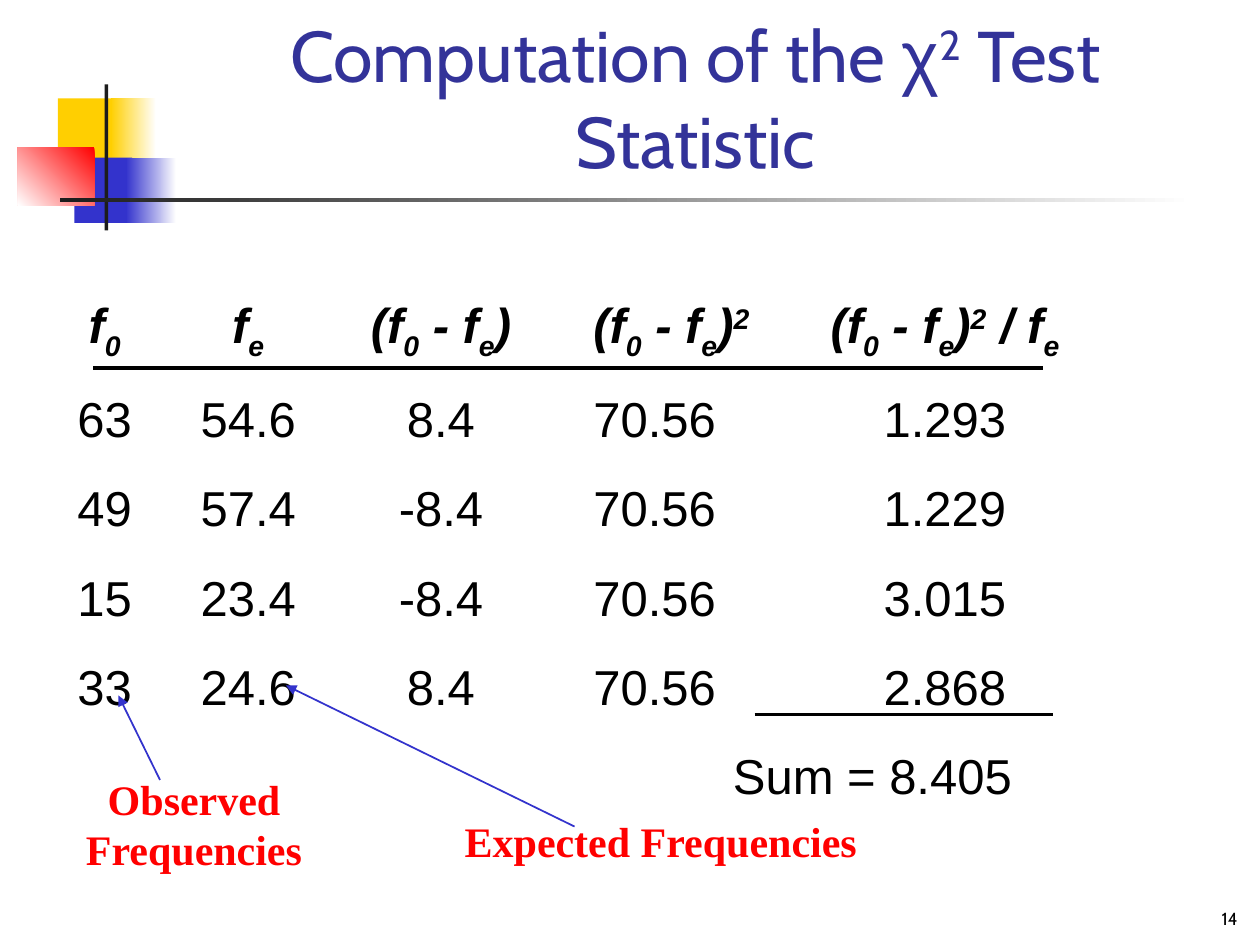
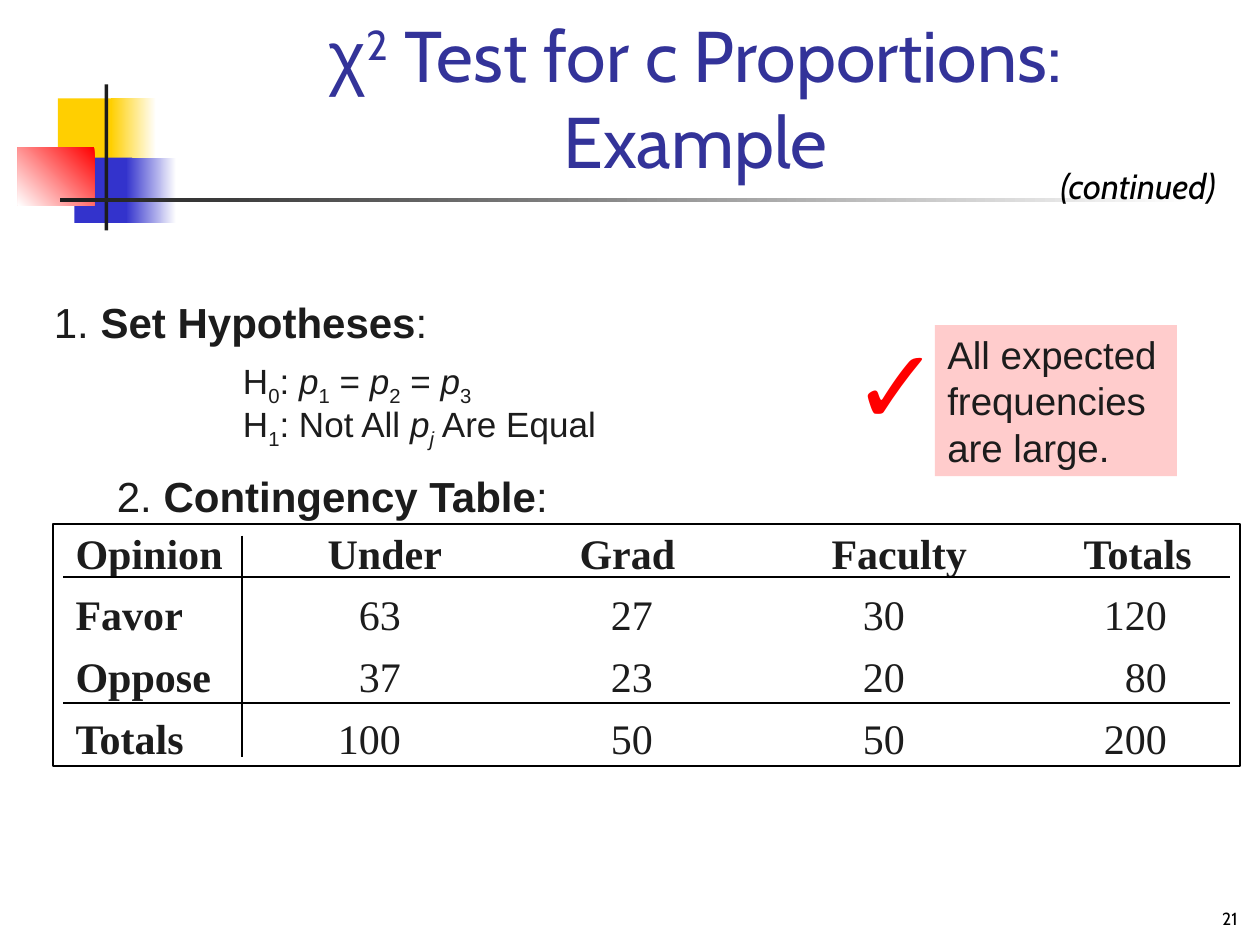
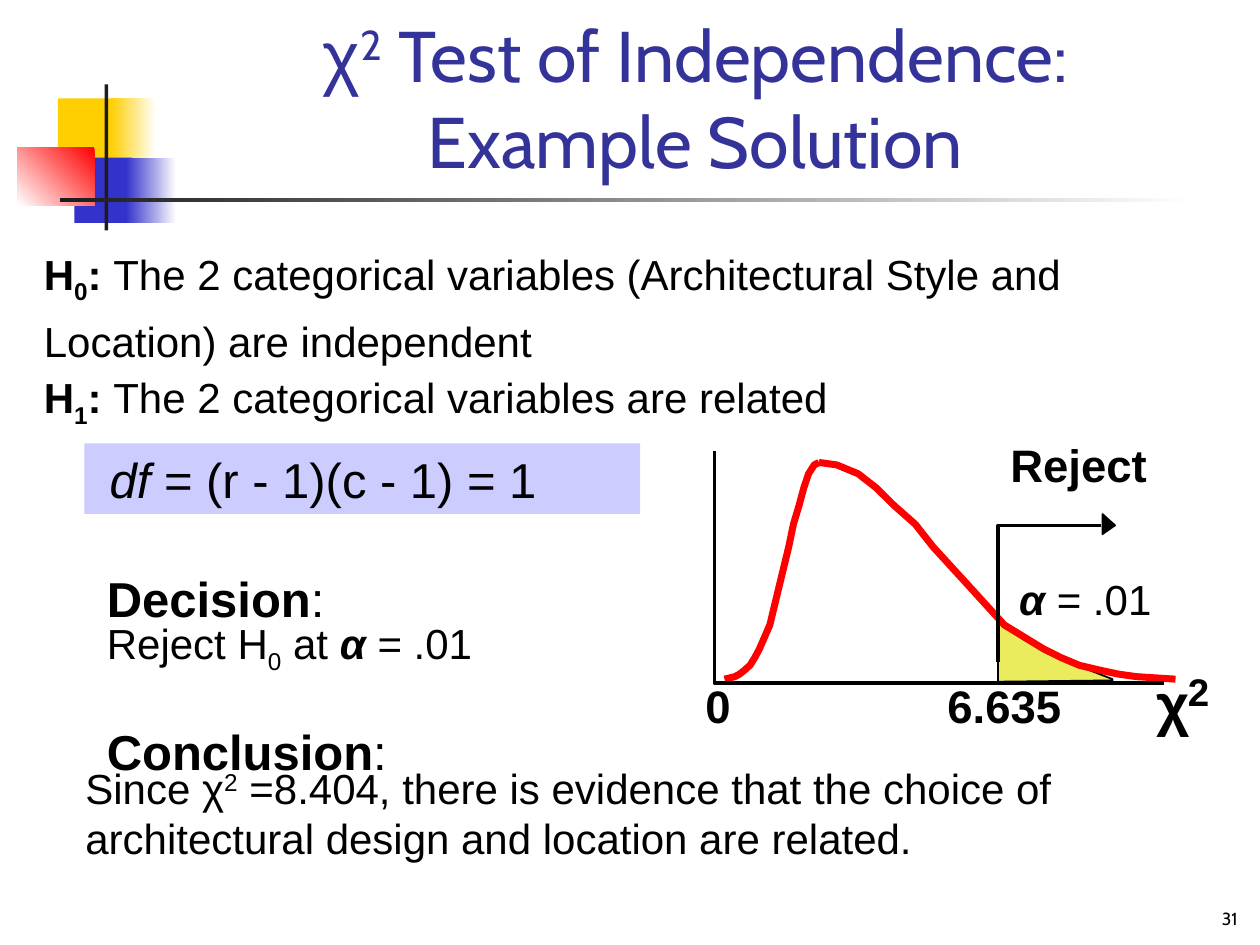
from dataclasses import dataclass

from lxml import etree
from pptx import Presentation
from pptx import util as u
from pptx.dml.color import RGBColor
from pptx.enum import shapes, text
from pptx.oxml import ns

BLACK = RGBColor(0x00, 0x00, 0x00)
CHARCOAL = RGBColor(0x1C, 0x1C, 0x1C)
WHITE = RGBColor(0xFF, 0xFF, 0xFF)
RED = RGBColor(0xFF, 0x00, 0x00)
YELLOW = RGBColor(0xFF, 0xCF, 0x01)
BLUE = RGBColor(0x33, 0x33, 0xCC)
TITLE_BLUE = RGBColor(0x33, 0x33, 0x99)
PINK = RGBColor(0xFF, 0xCC, 0xCC)
LAVENDER = RGBColor(0xCC, 0xCC, 0xFF)
TAIL_YELLOW = RGBColor(0xEA, 0xEC, 0x5E)

LEFT, CENTER, RIGHT = text.PP_ALIGN.LEFT, text.PP_ALIGN.CENTER, text.PP_ALIGN.RIGHT
TOP, MIDDLE, BOTTOM = text.MSO_ANCHOR.TOP, text.MSO_ANCHOR.MIDDLE, text.MSO_ANCHOR.BOTTOM


@dataclass
class Style:
    size: float
    color: RGBColor = BLACK
    font: str = "Arial"


@dataclass
class Line:
    runs: list
    spacing: float = 1.0
    before: float = 0
    indent: float = 0
    size: float = 0


TITLE = Style(41, TITLE_BLUE, "Cabin")
FOOTER = Style(10, BLACK, "Cabin")
CONTINUED = Style(20, BLACK, "Cabin")
BODY = Style(24)
LARGE = Style(28)
AXIS = Style(26)
CALLOUT = Style(24, RED, "Times New Roman")
COUNTS = Style(24, CHARCOAL, "Times New Roman")
HYPOTHESES = Style(24, CHARCOAL)

CURVE = [(0, 5.39), (0.11, 5.37), (0.16, 5.35), (0.21, 5.32), (0.27, 5.28), (0.32, 5.22),
         (0.37, 5.15), (0.48, 4.96), (0.57, 4.68), (0.68, 4.34), (0.73, 4.16), (0.79, 4.01),
         (0.84, 3.87), (0.89, 3.76), (0.95, 3.69), (1, 3.67)]
TAIL = [(8.83, 5.39), (8.52, 5.27), (8.44, 5.24), (8.37, 5.2), (8.31, 5.16), (8.13, 5.08),
        (8.03, 5.01), (7.92, 4.92), (7.92, 5.41), (8.83, 5.4)]


def inches(*values):
    return [u.Inches(value) for value in values]


def write_run(paragraph, content, marks, style, size):
    run = paragraph.add_run()
    run.text = content
    font = run.font
    font.size = u.Pt(size or style.size)
    font.name = "Arial" if "a" in marks else style.font
    font.color.rgb = style.color
    font.bold = "b" in marks
    font.italic = "i" in marks
    for mark, baseline in (("_", "-25000"), ("^", "30000")):
        if mark in marks:
            run._r.get_or_add_rPr().set("baseline", baseline)


def write_lines(frame, lines, style, align=LEFT):
    for index, line in enumerate(lines):
        if isinstance(line, list):
            line = Line(line)
        paragraph = frame.add_paragraph() if index else frame.paragraphs[0]
        paragraph.alignment = align
        paragraph.line_spacing = line.spacing
        if line.before:
            paragraph.space_before = u.Pt(line.before)
        if line.indent:
            paragraph._p.get_or_add_pPr().set("marL", str(u.Inches(line.indent)))
        for part, (content, marks) in enumerate(line.runs):
            pieces = content.split("\n")
            for number, piece in enumerate(pieces):
                if number:
                    paragraph.add_line_break()
                write_run(paragraph, piece, marks, style, line.size)


def add_text(slide, box, lines, style, align=LEFT, anchor=TOP, fill=None, left_inset=0.1):
    shape = slide.shapes.add_textbox(*inches(*box))
    if fill is not None:
        shape.fill.solid()
        shape.fill.fore_color.rgb = fill
    frame = shape.text_frame
    frame.word_wrap = True
    frame.vertical_anchor = anchor
    frame.margin_left = u.Inches(left_inset)
    write_lines(frame, lines, style, align)


def add_block(slide, box, start, end=None, angle=180):
    shape = slide.shapes.add_shape(shapes.MSO_SHAPE.RECTANGLE, *inches(*box))
    shape.shadow.inherit = False
    shape.line.fill.background()
    if end is None:
        shape.fill.solid()
        shape.fill.fore_color.rgb = start
        return
    shape.fill.gradient()
    shape.fill.gradient_angle = angle
    for stop, color in zip(shape.fill.gradient_stops, (start, end)):
        stop.color.rgb = color


def add_frame(slide, box):
    shape = slide.shapes.add_shape(shapes.MSO_SHAPE.RECTANGLE, *inches(*box))
    shape.shadow.inherit = False
    shape.fill.background()
    shape.line.color.rgb = BLACK
    shape.line.width = u.Pt(1)


def add_line(slide, start, end, color=BLACK, width=1, arrow=False):
    connector = slide.shapes.add_connector(
        shapes.MSO_CONNECTOR.STRAIGHT, *inches(*start, *end))
    connector.line.color.rgb = color
    connector.line.width = u.Pt(width)
    if arrow:
        outline = connector.line._get_or_add_ln()
        etree.SubElement(outline, ns.qn("a:tailEnd"), type="triangle")
    etree.SubElement(connector._element.spPr, ns.qn("a:effectLst"))


def add_outline(slide, points, color, width, fill=None):
    closed = fill is not None
    builder = slide.shapes.build_freeform(*inches(*points[0]))
    builder.add_line_segments([inches(*point) for point in points[1:]], close=closed)
    shape = builder.convert_to_shape()
    shape.shadow.inherit = False
    shape.line.color.rgb = color
    shape.line.width = u.Pt(width)
    if closed:
        shape.fill.solid()
        shape.fill.fore_color.rgb = fill
    else:
        shape.fill.background()


def add_grid(slide, left, top, widths, row_height, row_count):
    graphic = slide.shapes.add_table(
        row_count, len(widths), *inches(left, top, sum(widths), row_height * row_count))
    table = graphic.table
    table.first_row = table.horz_banding = False
    for column, width in zip(table.columns, widths):
        column.width = u.Inches(width)
    for row in table.rows:
        row.height = u.Inches(row_height)
        for cell in row.cells:
            cell.fill.background()
            cell.margin_left = cell.margin_right = 0
            cell.margin_top = cell.margin_bottom = 0
            cell.vertical_anchor = MIDDLE
    return table


def fill_cell(cell, runs, style, align, left=0, right=0):
    cell.margin_left, cell.margin_right = inches(left, right)
    write_lines(cell.text_frame, [runs], style, align)


def add_base(presentation, title, number):
    slide = presentation.slides.add_slide(presentation.slide_layouts[6])
    add_block(slide, (0.46, 0.78, 0.48, 0.52), YELLOW)
    add_block(slide, (0.88, 0.78, 0.36, 0.52), WHITE, YELLOW)
    add_block(slide, (0.59, 1.25, 0.46, 0.52), BLUE)
    add_block(slide, (1, 1.25, 0.4, 0.52), WHITE, BLUE)
    add_block(slide, (0.14, 1.17, 0.61, 0.46), RED, WHITE, 225)
    add_block(slide, (0.83, 0.67, 0.03, 1.16), CHARCOAL)
    add_block(slide, (0.48, 1.57, 9, 0.03), WHITE, CHARCOAL)
    add_text(slide, (1.26, 0.25, 8.52, 1.25), [title], TITLE, CENTER, BOTTOM)
    add_text(slide, (7.84, 6.91, 2.08, 0.51), [[(str(number), "")]], FOOTER, RIGHT, BOTTOM)
    return slide


def add_computation_slide(presentation):
    slide = add_base(presentation, [("Computation of the ", ""), ("χ", "a"), ("2", "^"),
                                    (" Test Statistic", "")], 14)
    observed = [("f", "bi"), ("0", "bi_")]
    expected = [("f", "bi"), ("e", "bi_")]
    difference = [("(f", "bi"), ("0", "bi_"), (" - f", "bi"), ("e", "bi_"), (")", "bi")]
    squared = difference + [("2", "bi^")]
    ratio = squared + [(" / f", "bi"), ("e", "bi_")]
    values = [("63", "54.6", "8.4", "70.56", "1.293"),
              ("49", "57.4", "-8.4", "70.56", "1.229"),
              ("15", "23.4", "-8.4", "70.56", "3.015"),
              ("33", "24.6", "8.4", "70.56", "2.868")]
    rows = [(observed, expected, difference, squared, ratio)]
    rows += [[[(value, "")] for value in row] for row in values]
    table = add_grid(slide, 0.4, 2.27, [0.86, 1.42, 1.64, 1.98, 2.4], 0.71, len(rows) + 1)
    for row_index, row in enumerate(rows):
        for column, runs in enumerate(row):
            align, left = (LEFT, 0.39) if column == 3 else (CENTER, 0)
            fill_cell(table.cell(row_index, column), runs, LARGE, align, left)
    total = table.cell(len(rows), 3)
    total.merge(table.cell(len(rows), 4))
    fill_cell(total, [("Sum = 8.405", "")], LARGE, RIGHT, right=0.67)

    add_line(slide, (0.74, 2.92), (8.28, 2.92), width=2)
    add_line(slide, (5.99, 5.67), (8.36, 5.67), width=2)
    add_line(slide, (1.27, 6.19), (0.94, 5.52), BLUE, arrow=True)
    add_text(slide, (0.25, 6.09, 2.58, 0.9), [[("Observed Frequencies", "b")]], CALLOUT, CENTER)
    add_line(slide, (4.56, 6.56), (2.27, 5.44), BLUE, arrow=True)
    add_text(slide, (3.59, 6.42, 4, 0.5), [[("Expected Frequencies", "b")]], CALLOUT)


def add_proportions_slide(presentation):
    slide = add_base(presentation, [("χ", "a"), ("2", "^"),
                                    (" Test for c Proportions:\nExample", "")], 21)
    add_text(slide, (8.32, 1.26, 1.59, 0.44), [[("(continued)", "i")]], CONTINUED)
    null = [("H", ""), ("0", "_"), (": ", ""), ("p", "i"), ("1", "_"), (" = ", ""),
            ("p", "i"), ("2", "_"), (" = ", ""), ("p", "i"), ("3", "_")]
    alternative = [("H", ""), ("1", "_"), (": Not All ", ""), ("p", "i"), ("j", "i_"),
                   (" Are Equal", "")]
    add_text(slide, (0.33, 2.35, 6.3, 1.8), [
        Line([("1. ", ""), ("Set Hypotheses", "b"), (":", "")], 0.9),
        Line(null, 0.9, 7, 1.5, 20),
        Line(alternative, 1, 0, 1.5, 20),
        Line([("2. ", ""), ("Contingency Table", "b"), (":", "")], 1.3, 3, 0.5),
    ], HYPOTHESES)

    rows = [("Opinion", "Under", "Grad", "Faculty", "Totals"),
            ("Favor", "63", "27", "30", "120"),
            ("Oppose", "37", "23", "20", "80"),
            ("Totals", "100", "50", "50", "200")]
    table = add_grid(slide, 0.5, 4.16, [2, 2, 2, 2, 1.33], 0.49, len(rows))
    for row_index, row in enumerate(rows):
        for column, value in enumerate(row):
            cell = table.cell(row_index, column)
            if row_index == 0 or column == 0:
                fill_cell(cell, [(value, "b")], COUNTS, LEFT, left=0.1)
            else:
                fill_cell(cell, [(value, "")], COUNTS, RIGHT, right=0.57 if column == 4 else 1.32)
    add_frame(slide, (0.42, 4.16, 9.42, 1.92))
    for height in (4.58, 5.58):
        add_line(slide, (0.5, height), (9.76, height))
    add_line(slide, (1.92, 4.25), (1.92, 6.01))

    add_text(slide, (7.42, 2.58, 1.92, 1.2), [[("All expected frequencies are large.", "")]],
             Style(22, CHARCOAL), fill=PINK)
    add_text(slide, (6.67, 2.49, 0.93, 1.1), [[("✓", "")]], Style(60, RED))


def add_rejection_curve(slide):
    peak, left_end, right_end = 6.5, 5.75, 9.33
    add_outline(slide, TAIL, BLACK, 1, TAIL_YELLOW)
    for end in (left_end, right_end):
        points = [(end + (peak - end) * share, height) for share, height in CURVE]
        add_outline(slide, points, RED, 4)
    add_outline(slide, [(5.67, 3.58), (5.67, 5.42), (9.24, 5.42)], BLACK, 2)
    add_outline(slide, [(7.92, 5.25), (7.92, 4.17), (8.74, 4.17)], BLACK, 2)
    add_outline(slide, [(8.75, 4.08), (8.85, 4.17), (8.75, 4.24)], BLACK, 1, BLACK)
    for label, left, top, width, height, style in (
            ("Reject", 7.92, 3.42, 1.4, 0.53, AXIS),
            ("χ", 9.08, 5.25, 0.55, 0.65, Style(33)),
            ("2", 9.33, 5.25, 0.45, 0.46, Style(22)),
            ("0", 5.5, 5.33, 0.45, 0.53, AXIS),
            ("6.635", 7.42, 5.33, 1.25, 0.53, AXIS)):
        add_text(slide, (left, top, width, height), [[(label, "b")]], style)
    add_text(slide, (7.99, 4.5, 2.01, 0.5), [[("α", "bi"), (" = .01", "")]], BODY)


def add_independence_slide(presentation):
    slide = add_base(presentation, [("χ", "a"), ("2", "^"),
                                    (" Test of Independence:\nExample Solution", "")], 31)
    add_text(slide, (0.25, 1.83, 9, 1.65), [
        Line([("H", "b"), ("0", "b_"), (": ", "b"),
              ("The 2 categorical variables (Architectural Style and Location) "
               "are independent", "")], 1.2),
        Line([("H", "b"), ("1", "b_"), (": ", "b"),
              ("The 2 categorical variables are related", "")], 1.1),
    ], BODY)
    add_text(slide, (0.67, 3.52, 4.41, 0.56),
             [[("df", "i"), (" = (r - 1)(c - 1) = 1", "")]], LARGE, fill=LAVENDER, left_inset=0.2)
    for heading, top in (("Decision", 4.46), ("Conclusion", 5.68)):
        add_text(slide, (0.75, top, 3.83, 0.55), [[(heading, "b"), (":", "")]], LARGE)
    add_text(slide, (0.75, 4.81, 3.83, 0.6), [
        Line([("Reject H", ""), ("0", "_"), (" at ", ""), ("α", "bi"), (" = .01", "")], 1.1),
    ], BODY)
    add_text(slide, (0.58, 6, 8.5, 0.9), [
        [("Since χ", ""), ("2", "^"),
         (" =8.404, there is evidence that the choice of architectural design "
          "and location are related.", "")],
    ], BODY)
    add_rejection_curve(slide)


def main():
    presentation = Presentation()
    presentation.slide_width, presentation.slide_height = inches(10, 7.5)
    add_computation_slide(presentation)
    add_proportions_slide(presentation)
    add_independence_slide(presentation)
    presentation.save("out.pptx")


if __name__ == "__main__":
    main()
